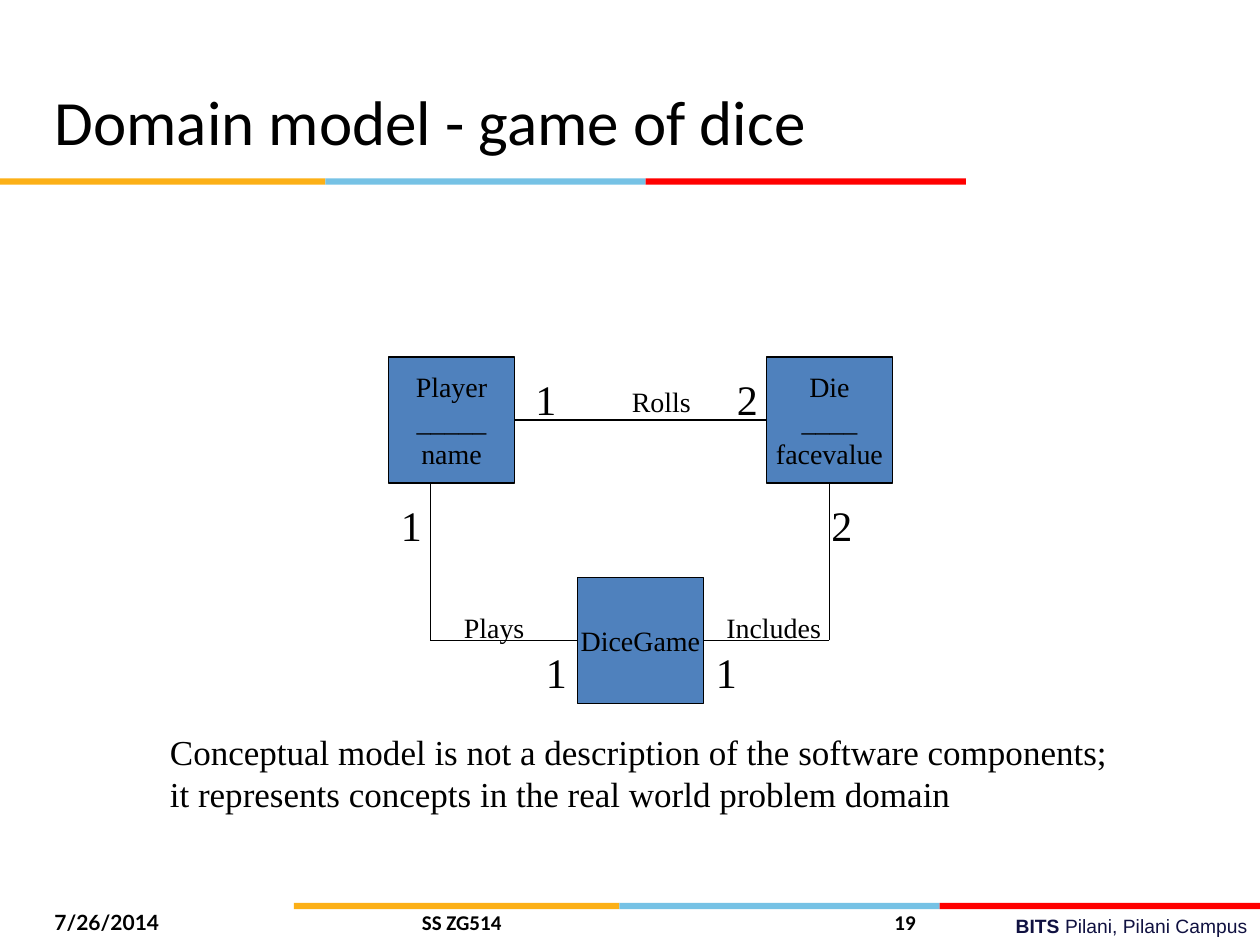
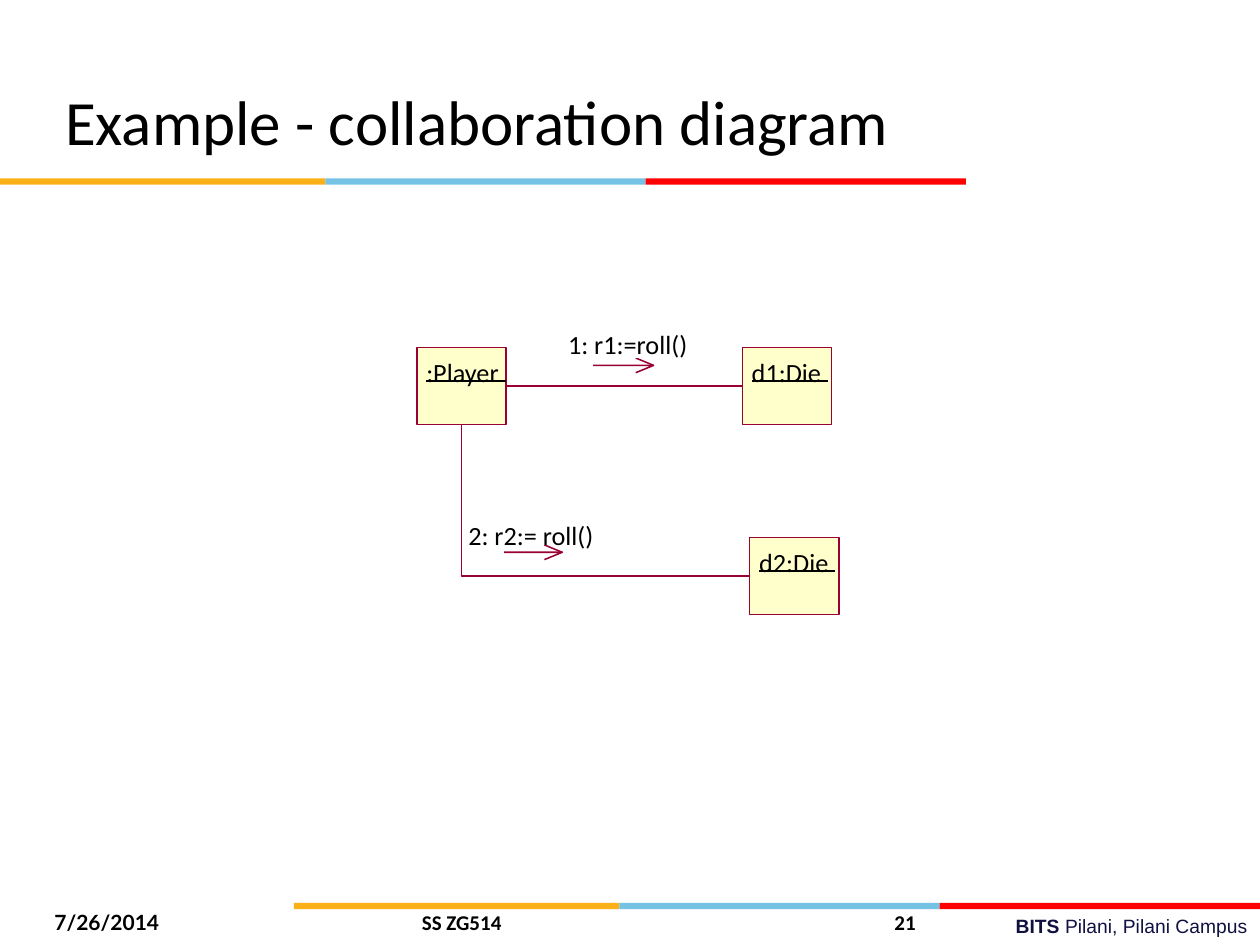
from itertools import pairwise

from lxml.etree import SubElement
from pptx import Presentation
from pptx.dml.color import RGBColor
from pptx.enum.shapes import MSO_CONNECTOR, MSO_SHAPE
from pptx.enum.text import MSO_ANCHOR, MSO_AUTO_SIZE, PP_ALIGN
from pptx.oxml.ns import qn
from pptx.util import Inches, Pt

# Every length is in grid units: 120 columns by 90 rows, 12 to the inch.
COLUMNS, ROWS, UNITS_PER_INCH = 120, 90, 12

BLACK = RGBColor(0x00, 0x00, 0x00)
WHITE = RGBColor(0xFF, 0xFF, 0xFF)
NAVY = RGBColor(0x10, 0x11, 0x41)
GOLD = RGBColor(0xFC, 0xB0, 0x17)
SKY = RGBColor(0x76, 0xC2, 0xE5)
RED = RGBColor(0xFF, 0x00, 0x00)
CLASS_BLUE = RGBColor(0x4F, 0x81, 0xBD)
OBJECT_CREAM = RGBColor(0xFF, 0xFF, 0xCC)
OBJECT_MAROON = RGBColor(0x99, 0x00, 0x33)

SANS, SERIF = "Calibri", "Times New Roman"

# Shared frame
BAND_COLOURS = (GOLD, SKY, RED)
BAND_EDGES = (0, 31, 61.5, 92)
BAND_STARTS = ((0, 17), (28, 86))  # left, top of the title band and footer band
BAND_HEIGHT = 0.6
CAMPUS = [[("BITS ", True), ("Pilani, Pilani Campus", False)]]

# Domain model
CLASS_SIDE = 12
CLASSES = {  # name: (left, top, lines)
    "Player": (37, 34, ["Player", "_____", "name"]),
    "Die": (73, 34, ["Die", "____", "facevalue"]),
    "DiceGame": (55, 55, ["DiceGame"]),
}
MULTIPLICITIES = [
    ("1", 49.8, 35), ("2", 69, 35),
    ("1", 37, 47), ("2", 78, 47),
    ("1", 50.8, 61), ("1", 67, 61),
]
ASSOCIATIONS = [  # name, left, top, width
    ("Rolls", 59, 36, 8), ("Plays", 43, 57.6, 8.2), ("Includes", 68, 57.6, 11.4),
]
MODEL_NOTE = [
    "Conceptual model is not a description of the software components;",
    "it represents concepts in the real world problem domain",
]

# Collaboration diagram
OBJECT_WIDTH, OBJECT_HEIGHT = 8.5, 7.35
OBJECTS = {  # name: (left, top, underline length)
    ":Player": (39.7, 33.1, 7.6),
    "d1:Die": (70.7, 33.1, 7.25),
    "d2:Die": (71.4, 51.2, 7.25),
}
MESSAGES = [  # text, label position, mask (left, top, width), arrow (left, top, length)
    ("1: r1:=roll()", (54.1, 31.3), (54, 31.2, 13.2), (56.5, 34.8, 5.75)),
    ("2: r2:= roll()", (44.6, 49.45), (45, 49, 13.9), (48, 52.6, 5.55)),
]
MASK_HEIGHT, ARROW_DEPTH, ARROW_RISE = 2.9, 1.7, 0.7


def grid(*units):
    return [Inches(unit / UNITS_PER_INCH) for unit in units]


def write_text(frame, lines, *, size, font=SANS, colour=BLACK, bold=False,
               align=PP_ALIGN.LEFT, anchor=MSO_ANCHOR.TOP, wrap=True, margins=None):
    """Fill a text frame; a line is a string or a list of (text, bold) runs."""
    frame.word_wrap = wrap
    frame.vertical_anchor = anchor
    if margins is not None:
        (frame.margin_left, frame.margin_top,
         frame.margin_right, frame.margin_bottom) = grid(*margins)
    for index, line in enumerate(lines):
        paragraph = frame.add_paragraph() if index else frame.paragraphs[0]
        paragraph.alignment = align
        for text, run_bold in [(line, bold)] if isinstance(line, str) else line:
            run = paragraph.add_run()
            run.text = text
            run.font.name, run.font.size, run.font.bold = font, Pt(size), run_bold
            run.font.color.rgb = colour


def add_text(slide, box, lines, *, fit=True, **text_format):
    frame = slide.shapes.add_textbox(*grid(*box)).text_frame
    write_text(frame, lines, **text_format)
    frame.auto_size = MSO_AUTO_SIZE.SHAPE_TO_FIT_TEXT if fit else MSO_AUTO_SIZE.NONE


def add_box(slide, box, fill, line=None, weight=0.75):
    shape = slide.shapes.add_shape(MSO_SHAPE.RECTANGLE, *grid(*box))
    shape.shadow.inherit = False
    shape.fill.solid()
    shape.fill.fore_color.rgb = fill
    if line is None:
        shape.line.fill.background()
    else:
        shape.line.color.rgb = line
        shape.line.width = Pt(weight)
    return shape


def add_line(slide, start, end, colour=BLACK, weight=0.75):
    connector = slide.shapes.add_connector(
        MSO_CONNECTOR.STRAIGHT, *grid(*start, *end))
    connector.line.color.rgb = colour
    connector.line.width = Pt(weight)
    SubElement(connector._element.spPr, qn("a:effectLst"))


def add_path(slide, points, colour, weight):
    """Draw an open outline through the points."""
    start, *others = [tuple(grid(*point)) for point in points]
    builder = slide.shapes.build_freeform(*start, scale=1.0)
    builder.add_line_segments(others, close=False)
    shape = builder.convert_to_shape()
    shape.shadow.inherit = False
    shape.fill.background()
    shape.line.color.rgb = colour
    shape.line.width = Pt(weight)


def add_framed_slide(presentation, title, title_box, number):
    """Add a slide with its title, colour bands and footer."""
    slide = presentation.slides.add_slide(presentation.slide_layouts[6])
    add_text(slide, (43, 86.5, 77, 3.5), CAMPUS, size=11, font="Arial",
             colour=NAVY, align=PP_ALIGN.RIGHT)
    for left, top in BAND_STARTS:
        for colour, (begin, end) in zip(BAND_COLOURS, pairwise(BAND_EDGES)):
            add_box(slide, (left + begin, top, end - begin, BAND_HEIGHT), colour)
    add_text(slide, title_box, [title], size=36, fit=False,
             margins=(1.2, 0.9, 1.2, 0))
    footers = [("7/26/2014", 4, 28, "Lato"), ("SS ZG514", 39, 38, SANS),
               (number, 84, 28, SANS)]
    for text, left, width, font in footers:
        add_text(slide, (left, 86, width, 4.8), [text], size=12, font=font,
                 bold=True, fit=False)
    return slide


def build_domain_model(presentation):
    slide = add_framed_slide(
        presentation, "Domain model - game of dice", (4, 7, 102.25, 9), "19")
    for left, top, lines in CLASSES.values():
        shape = add_box(slide, (left, top, CLASS_SIDE, CLASS_SIDE), CLASS_BLUE, BLACK)
        write_text(shape.text_frame, lines, size=16, font=SERIF,
                   align=PP_ALIGN.CENTER, anchor=MSO_ANCHOR.MIDDLE, wrap=False)

    half = CLASS_SIDE / 2
    player_left, player_top, _ = CLASSES["Player"]
    die_left, die_top, _ = CLASSES["Die"]
    game_left, game_top, _ = CLASSES["DiceGame"]
    plays_x, includes_x = player_left + CLASS_SIDE / 3, die_left + half
    rolls_y, game_y = player_top + half, game_top + half
    routes = [
        [(player_left + CLASS_SIDE, rolls_y), (die_left, rolls_y)],
        [(game_left, game_y), (plays_x, game_y), (plays_x, player_top + CLASS_SIDE)],
        [(game_left + CLASS_SIDE, game_y), (includes_x, game_y),
         (includes_x, die_top + CLASS_SIDE)],
    ]
    for route in routes:
        for start, end in pairwise(route):
            add_line(slide, start, end)

    for text, left, top in MULTIPLICITIES:
        add_text(slide, (left, top, 6.2, 6), [text], size=24, font=SERIF)
    for text, left, top, width in ASSOCIATIONS:
        add_text(slide, (left, top, width, 4.4), [text], size=16, font=SERIF, wrap=False)
    add_text(slide, (15, 69, 96.6, 9.2), MODEL_NOTE, size=20, font=SERIF)


def build_collaboration(presentation):
    slide = add_framed_slide(
        presentation, "Example - collaboration diagram", (5, 7, 102.25, 10), "21")
    pen = {"colour": OBJECT_MAROON, "weight": 0.88}
    label = {"size": 15, "wrap": False, "margins": (0, 0, 0, 0)}
    for name, (left, top, underline) in OBJECTS.items():
        add_box(slide, (left, top, OBJECT_WIDTH, OBJECT_HEIGHT),
                OBJECT_CREAM, OBJECT_MAROON, 0.88)
        text_left, line_y = left + 0.9, top + 3.2
        add_text(slide, (text_left, top + 0.85, 7.7, 3.1), [name], **label)
        add_line(slide, (text_left, line_y), (text_left + underline, line_y), weight=0.88)

    player_left, player_top, _ = OBJECTS[":Player"]
    first_left, first_top, _ = OBJECTS["d1:Die"]
    second_left, second_top, _ = OBJECTS["d2:Die"]
    first_y, second_y = first_top + OBJECT_HEIGHT / 2, second_top + OBJECT_HEIGHT / 2
    player_x = player_left + OBJECT_WIDTH / 2
    add_line(slide, (player_left + OBJECT_WIDTH, first_y), (first_left, first_y), **pen)
    add_path(slide, [(player_x, player_top + OBJECT_HEIGHT), (player_x, second_y),
                     (second_left, second_y)], **pen)

    for text, position, mask, (left, top, length) in MESSAGES:
        tip = left + length
        barb = tip - ARROW_DEPTH
        add_path(slide, [(left, top), (tip, top), (barb, top + ARROW_RISE)], **pen)
        add_line(slide, (tip, top), (barb, top - ARROW_RISE), **pen)
        add_box(slide, (*mask, MASK_HEIGHT), WHITE)
        add_text(slide, (*position, 14.5, 3.1), [text], **label)


def main():
    presentation = Presentation()
    presentation.slide_width, presentation.slide_height = grid(COLUMNS, ROWS)
    build_domain_model(presentation)
    build_collaboration(presentation)
    presentation.save("out.pptx")


if __name__ == "__main__":
    main()
